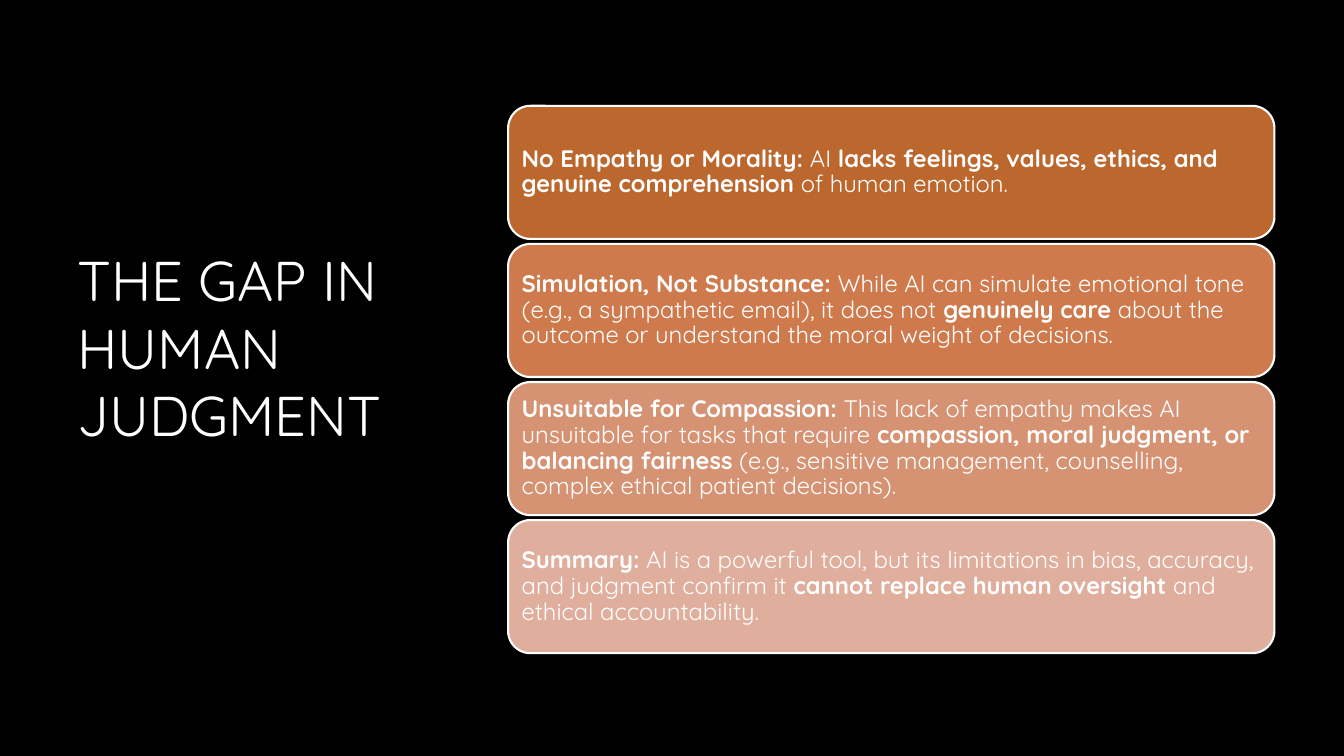
from pptx import Presentation
from pptx.dml.color import RGBColor
from pptx.enum.shapes import MSO_SHAPE as Shape
from pptx.enum.text import MSO_ANCHOR as Anchor, PP_ALIGN as Align
from pptx.util import Inches, Pt

FONT = "Quicksand"
WHITE = "FFFFFF"

# Fill of each card, then its text as alternating bold and regular runs
CARDS = [
    ("BC672E", ["No Empathy or Morality:", " AI ",
                "lacks feelings, values, ethics, and genuine comprehension",
                " of human emotion."]),
    ("CE7A4C", ["Simulation, Not Substance:",
                " While AI can simulate emotional tone (e.g., a sympathetic email), it does not ",
                "genuinely care",
                " about the outcome or understand the moral weight of decisions."]),
    ("D69374", ["Unsuitable for Compassion:",
                " This lack of empathy makes AI unsuitable for tasks that require ",
                "compassion, moral judgment, or balancing fairness",
                " (e.g., sensitive management, counselling, complex ethical patient decisions)."]),
    ("DFAE9C", ["Summary:",
                " AI is a powerful tool, but its limitations in bias, accuracy, and judgment confirm it ",
                "cannot replace human oversight",
                " and ethical accountability."]),
]


def color(hex_value):
    return RGBColor.from_string(hex_value)


def format_paragraph(paragraph, size):
    paragraph.alignment = Align.LEFT
    paragraph.font.name = FONT
    paragraph.font.size = Pt(size)
    paragraph.font.color.rgb = color(WHITE)


def set_title(slide, text, left, top, width, height):
    title = slide.shapes.title
    title.left, title.top = Inches(left), Inches(top)
    title.width, title.height = Inches(width), Inches(height)
    frame = title.text_frame
    frame.text = text
    frame.word_wrap = True
    frame.vertical_anchor = Anchor.MIDDLE
    frame.margin_bottom = Inches(0.7)  # lifts the title above the middle
    format_paragraph(frame.paragraphs[0], 40)


def add_card(slide, fill, texts, left, top, width, height):
    card = slide.shapes.add_shape(Shape.ROUNDED_RECTANGLE, Inches(left), Inches(top),
                                  Inches(width), Inches(height))
    card.shadow.inherit = False
    card.fill.solid()
    card.fill.fore_color.rgb = color(fill)
    card.line.color.rgb = color(WHITE)
    card.line.width = Pt(1.5)

    frame = card.text_frame
    frame.word_wrap = True
    frame.vertical_anchor = Anchor.MIDDLE
    frame.margin_left = frame.margin_right = Inches(0.07)
    frame.margin_top = frame.margin_bottom = Inches(0.07)
    paragraph = frame.paragraphs[0]
    format_paragraph(paragraph, 17)
    paragraph.line_spacing = 0.9
    for index, text in enumerate(texts):
        run = paragraph.add_run()
        run.text = text
        run.font.bold = index % 2 == 0


def add_card_stack(slide, cards, left, top, width, height, gap):
    card_height = (height - gap * (len(cards) - 1)) / len(cards)
    for index, (fill, texts) in enumerate(cards):
        card_top = top + index * (card_height + gap)
        add_card(slide, fill, texts, left, card_top, width, card_height)


def main():
    presentation = Presentation()
    presentation.slide_width = Inches(13.33)
    presentation.slide_height = Inches(7.5)
    slide = presentation.slides.add_slide(presentation.slide_layouts[5])
    slide.background.fill.solid()
    slide.background.fill.fore_color.rgb = color("000000")

    # Title on the left, stacked cards on the right
    set_title(slide, "THE GAP IN HUMAN JUDGMENT", 0.67, 0.6, 3.82, 6.33)
    add_card_stack(slide, CARDS, 5.04, 1.05, 7.6, 5.43, gap=0.05)

    presentation.save("out.pptx")


if __name__ == "__main__":
    main()
